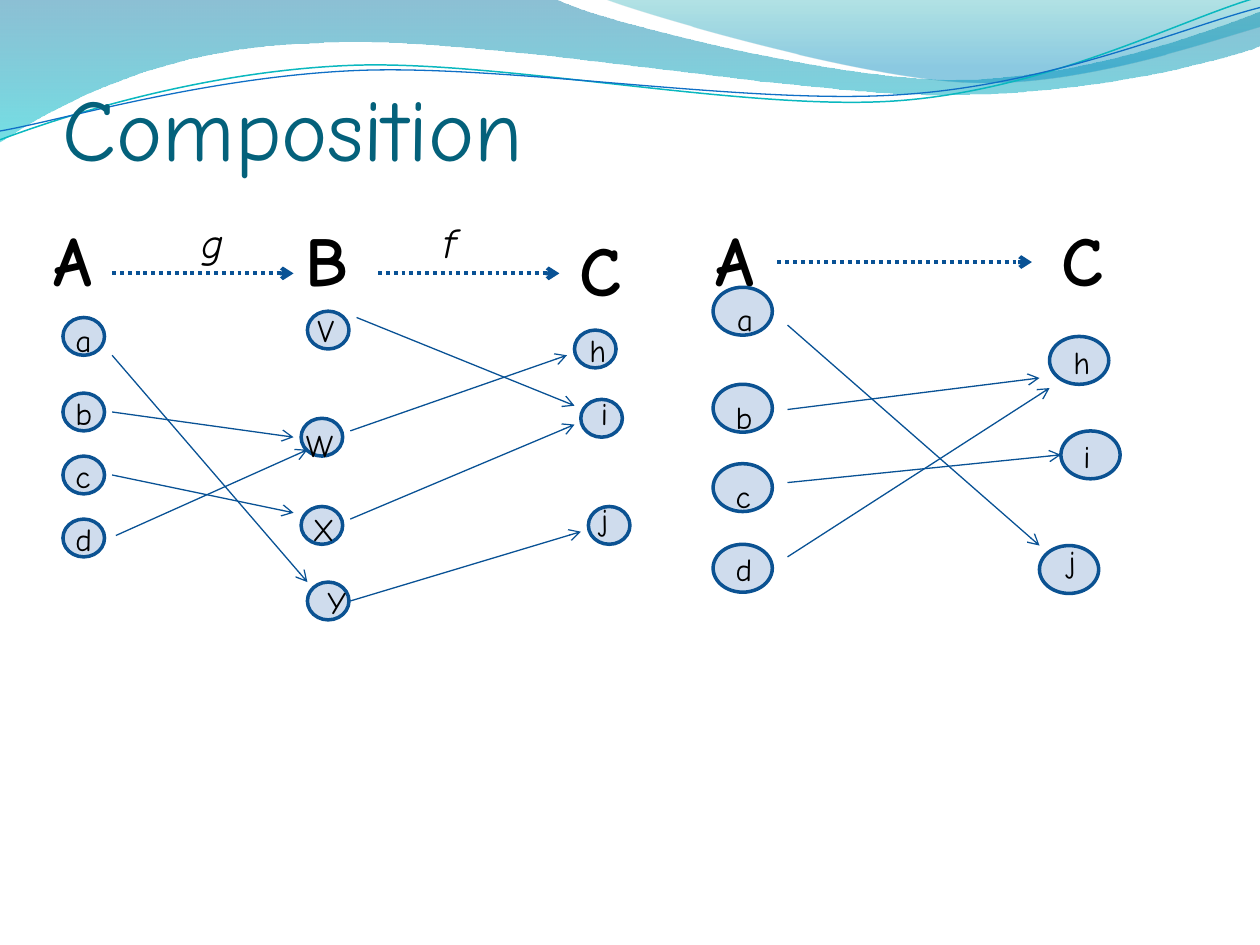
from lxml.etree import SubElement
from pptx import Presentation
from pptx.dml.color import RGBColor
from pptx.enum.dml import MSO_LINE
from pptx.enum.shapes import MSO_CONNECTOR, MSO_SHAPE
from pptx.enum.text import MSO_ANCHOR, MSO_AUTO_SIZE
from pptx.oxml.ns import qn
from pptx.util import Inches, Pt

COLORS = {
    "title": "04617B", "text": "000000", "node": "4F81BD",
    "node_line": "0B5292", "arrow": "095295",
    "teal_line": "0AB8BF", "blue_line": "0F6FC6",
    "band_top": "0074A1", "band_bottom": "00C6CF",
    "corner_top": "00A1A9", "corner_bottom": "008BBF",
}
FONT = "Comic Neue"
HEADING = {"size": Pt(40), "bold": True}
FUNCTION = {"size": Pt(24), "italic": True}
LABEL = {"size": Pt(18)}

# A pair of numbers is a corner; six numbers are a Bezier curve.
BAND = [(0, 0), (4.4, -0.01), (4.76, 0.17, 6.64, 0.63, 7.58, 0.63),
        (8.53, 0.63, 9.58, 0.26, 10, 0.09), (10.01, 0.36),
        (9.83, 0.44, 8.7, 0.76, 7.46, 0.75), (6.22, 0.75, 3.82, 0.28, 2.57, 0.34),
        (1.29, 0.36, 0.46, 0.83, -0.01, 1.13), (0, 0)]
CORNER = [(4.79, -0.01), (5.09, 0.11, 6.82, 0.62, 7.69, 0.65),
          (8.56, 0.69, 9.61, 0.32, 10, 0.21), (10, 0), (4.79, -0.01)]
TEAL_WAVE = [(0, 1.11), (0.48, 0.93, 1.58, 0.57, 2.77, 0.52),
             (3.95, 0.47, 5.93, 0.89, 7.13, 0.8), (8.33, 0.71, 9.38, 0.15, 9.98, -0.02)]
BLUE_WAVE = [(0, 1.04), (0.47, 0.96, 1.64, 0.61, 2.83, 0.56),
             (4.03, 0.51, 5.97, 0.84, 7.17, 0.75), (8.36, 0.67, 9.41, 0.21, 10, 0.06)]

# Positions are relative to the diagram's box.
# Nodes: letter, node left and top, label shift right and down.
COMPOSED = {
    "node_size": (0.33, 0.3), "heading_width": 0.75, "label_width": 0.22,
    "special_widths": {"V": 0.25, "X": 0.14, "j": 0.25},
    "headings": [("A", 0, 0), ("B", 2, 0), ("C", 4.17, 0.08)],
    "functions": [("g", 1.17, 0), ("f", 3.09, 0)],
    "nodes": [("a", 0.17, 0.85, 0, -0.02), ("b", 0.17, 1.45, 0, -0.04),
              ("c", 0.17, 1.95, 0, -0.04), ("d", 0.17, 2.45, 0, -0.04),
              ("V", 2.11, 0.8, -0.02, -0.05), ("W", 2.06, 1.65, -0.06, 0.01),
              ("X", 2.06, 2.35, 0.05, -0.02), ("Y", 2.11, 2.95, 0.06, -0.04),
              ("h", 4.23, 0.95, 0.02, -0.04), ("i", 4.28, 1.5, 0.06, -0.09),
              ("j", 4.34, 2.35, 0, -0.1)],
    "set_arrows": [(0.56, 0.5, 2, 0.5), (2.67, 0.5, 4.11, 0.5)],
    "element_arrows": [(0.56, 1.15, 2.11, 2.95), (0.56, 1.6, 2, 1.8),
                       (0.56, 2.1, 2, 2.4), (0.59, 2.58, 2.11, 1.9),
                       (2.5, 0.85, 4.23, 1.55), (2.45, 1.75, 4.17, 1.15),
                       (2.45, 2.45, 4.23, 1.7), (2.45, 3.1, 4.28, 2.55)],
}
RESULT = {
    "node_size": (0.47, 0.38), "heading_width": 0.7, "label_width": 0.31,
    "special_widths": {},
    "headings": [("A", 0, 0), ("C", 2.75, 0)],
    "functions": [],
    "nodes": [("a", 0.08, 0.61, 0.09, 0.05), ("b", 0.08, 1.38, 0.08, 0.06),
              ("c", 0.08, 2.01, 0.08, 0.06), ("d", 0.08, 2.65, 0.08, 0),
              ("h", 2.75, 1, 0.09, 0), ("i", 2.84, 1.75, 0.08, 0),
              ("j", 2.67, 2.66, 0.13, -0.08)],
    "set_arrows": [(0.59, 0.41, 2.61, 0.41)],
    "element_arrows": [(0.67, 0.91, 2.67, 2.66), (0.67, 1.58, 2.67, 1.33),
                       (0.67, 2.16, 2.84, 1.94), (0.67, 2.75, 2.75, 1.41)],
}


def rgb(name):
    return RGBColor.from_string(COLORS[name])


def set_opacity(color_element, percent):
    SubElement(color_element, qn("a:alpha")).set("val", str(percent * 1000))


def add_outline(slide, left, top, outline, close):
    """Draw the corners as a freeform, then bend its curved segments."""
    corners = [(Inches(left + part[-2]), Inches(top + part[-1])) for part in outline]
    if close:
        corners.pop()
    builder = slide.shapes.build_freeform(*corners[0])
    builder.add_line_segments(corners[1:], close=close)
    shape = builder.convert_to_shape()
    shape.shadow.inherit = False
    segments = list(shape._element.spPr.iter(qn("a:lnTo")))
    for segment, part in zip(segments, outline[1:]):
        if len(part) == 2:
            continue
        segment.tag = qn("a:cubicBezTo")
        segment.remove(segment[0])
        for x, y in zip(part[::2], part[1::2]):
            point = SubElement(segment, qn("a:pt"))
            point.set("x", str(Inches(left + x) - shape.left))
            point.set("y", str(Inches(top + y) - shape.top))
    return shape


def add_waves(slide, left, top):
    fills = [(BAND, [(0, "band_top", 45), (1, "band_bottom", 55)]),
             (CORNER, [(0, "corner_top", 30), (0.8, "corner_bottom", 45)])]
    for outline, stops in fills:
        area = add_outline(slide, left, top, outline, True)
        area.line.fill.background()
        area.fill.gradient()
        area.fill.gradient_angle = 270
        for stop, (position, color, _) in zip(area.fill.gradient_stops, stops):
            stop.position = position
            stop.color.rgb = rgb(color)
        tints = area._element.spPr.iter(qn("a:srgbClr"))
        for tint, (_, _, opacity) in zip(list(tints), stops):
            set_opacity(tint, opacity)
    for outline, color, width in [(TEAL_WAVE, "teal_line", 0.85),
                                  (BLUE_WAVE, "blue_line", 0.75)]:
        wave = add_outline(slide, left, top, outline, False)
        wave.fill.background()
        wave.line.color.rgb = rgb(color)
        wave.line.width = Pt(width)


def add_text(slide, left, top, width, height, text, style, color="text"):
    box = slide.shapes.add_textbox(*map(Inches, (left, top, width, height)))
    frame = box.text_frame
    frame.word_wrap = True
    frame.auto_size = MSO_AUTO_SIZE.SHAPE_TO_FIT_TEXT
    run = frame.paragraphs[0].add_run()
    run.text = text
    for attribute, value in {"name": FONT, **style}.items():
        setattr(run.font, attribute, value)
    run.font.color.rgb = rgb(color)
    return frame


def add_title(slide, left, top, width, height):
    title = add_text(slide, left, top, width, height, "Composition",
                     {"size": Pt(50)}, "title")
    layout = {"auto_size": MSO_AUTO_SIZE.NONE, "vertical_anchor": MSO_ANCHOR.BOTTOM,
              "margin_left": 0, "margin_right": 0, "margin_bottom": 0}
    for attribute, value in layout.items():
        setattr(title, attribute, value)


def add_node(slide, left, top, width, height):
    node = slide.shapes.add_shape(MSO_SHAPE.FLOWCHART_CONNECTOR,
                                  *map(Inches, (left, top, width, height)))
    node.shadow.inherit = False
    node.fill.solid()
    node.fill.fore_color.rgb = rgb("node")
    set_opacity(node._element.spPr.find(".//" + qn("a:srgbClr")), 27)
    node.line.color.rgb = rgb("node_line")
    node.line.width = Pt(2)


def add_arrow(slide, start_x, start_y, end_x, end_y, dotted):
    arrow = slide.shapes.add_connector(
        MSO_CONNECTOR.STRAIGHT, *map(Inches, (start_x, start_y, end_x, end_y)))
    arrow.line.color.rgb = rgb("arrow")
    arrow.line.width = Pt(2.25 if dotted else 0.75)
    if dotted:
        arrow.line.dash_style = MSO_LINE.ROUND_DOT
    SubElement(arrow.line._get_or_add_ln(), qn("a:tailEnd")).set("type", "arrow")
    SubElement(arrow._element.spPr, qn("a:effectLst"))


def add_mapping(slide, left, top, mapping):
    """Draw sets of lettered nodes joined by arrows."""
    for letter, x, y in mapping["headings"]:
        add_text(slide, left + x, top + y, mapping["heading_width"], 0.77,
                 letter, HEADING)
    for letter, x, y in mapping["functions"]:
        add_text(slide, left + x, top + y, 0.39, 0.5, letter, FUNCTION)
    for letter, x, y, shift_x, shift_y in mapping["nodes"]:
        add_node(slide, left + x, top + y, *mapping["node_size"])
        label_width = mapping["special_widths"].get(letter, mapping["label_width"])
        add_text(slide, left + x + shift_x, top + y + shift_y,
                 label_width, 0.4, letter, LABEL)
    for kind, dotted in (("set_arrows", True), ("element_arrows", False)):
        for x1, y1, x2, y2 in mapping[kind]:
            add_arrow(slide, left + x1, top + y1, left + x2, top + y2, dotted)


def main():
    deck = Presentation()
    deck.slide_width, deck.slide_height = Inches(10), Inches(7.5)
    slide = deck.slides.add_slide(deck.slide_layouts[6])
    add_waves(slide, 0, 0)
    add_title(slide, 0.5, 0.17, 9, 1.25)
    add_mapping(slide, 5.58, 1.67, RESULT)
    add_mapping(slide, 0.33, 1.67, COMPOSED)
    deck.save("out.pptx")


if __name__ == "__main__":
    main()
